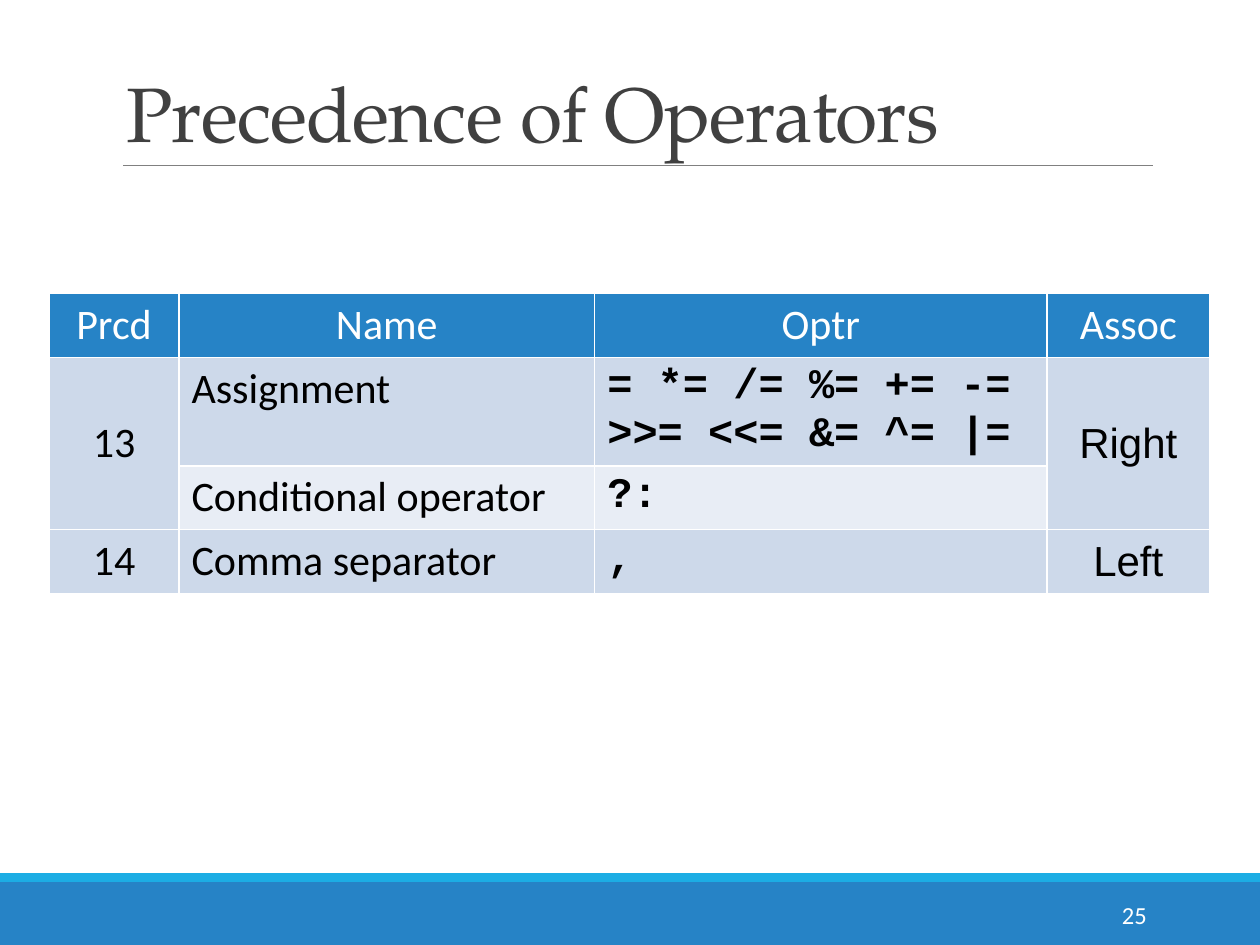
from lxml.etree import SubElement
from pptx import Presentation
from pptx.dml.color import RGBColor
from pptx.enum.shapes import MSO_CONNECTOR, MSO_SHAPE
from pptx.enum.text import MSO_ANCHOR as ANCHOR, PP_ALIGN as ALIGN
from pptx.oxml.ns import qn
from pptx.util import Inches, Pt

BLUE, CYAN, WHITE, BLACK = "2683C6", "1CADE4", "FFFFFF", "000000"
BAND, LIGHT_BAND = "CDD9EA", "E8EDF5"
BODY, MONO, SANS, SERIF = "Calibri", "Courier New", "Arial", "TeX Gyre Pagella"

HEADER = ["Prcd", "Name", "Optr", "Assoc"]
ROWS = [
    ["13", "Assignment", "= *= /= %= += -=\n>>= <<= &= ^= |=", "Right"],
    ["", "Conditional operator", "?:", ""],
    ["14", "Comma separator", ",", "Left"],
]
COL_WIDTHS = [1.03, 3.3, 3.59, 1.29]
ROW_HEIGHTS = [0.5, 0.86, 0.5, 0.5]
COL_FONTS = [BODY, BODY, MONO, SANS]


def rgb(color):
    return RGBColor.from_string(color)


def box(*lengths):
    return [Inches(n) for n in lengths]


class SlideBuilder:
    """Holds the current slide and draws its elements in one style."""

    def __init__(self, slide):
        self.slide = slide
        self.shapes = slide.shapes

    def style(self, p, size, font, color, bold=False, align=ALIGN.LEFT):
        p.alignment = align
        for r in p.runs:
            r.font.size, r.font.name, r.font.bold = Pt(size), font, bold
            r.font.color.rgb = rgb(color)

    def bar(self, top, height, color):
        sp = self.shapes.add_shape(MSO_SHAPE.RECTANGLE, *box(0, top, 10, height))
        sp.shadow.inherit = False
        sp.fill.solid()
        sp.fill.fore_color.rgb = rgb(color)
        sp.line.fill.background()

    def rule(self, left, right, y):
        line = self.shapes.add_connector(MSO_CONNECTOR.STRAIGHT, *box(left, y, right, y))
        line.line.color.rgb = rgb("808080")
        line.line.width = Pt(0.5)
        SubElement(line._element.spPr, qn("a:effectLst"))

    def title(self, text):
        sp = self.shapes.title
        sp.left, sp.top, sp.width, sp.height = box(0.9, 0.31, 8.25, 1)
        tf = sp.text_frame
        tf.text = text
        tf.vertical_anchor = ANCHOR.BOTTOM
        p = tf.paragraphs[0]
        p.line_spacing = 0.85
        self.style(p, 44, SERIF, "404040")
        p.runs[0].font._element.set("spc", "-50")

    def page_number(self, text):
        tf = self.shapes.add_textbox(*box(8.12, 7.06, 1.08, 0.4)).text_frame
        tf.word_wrap = True
        tf.vertical_anchor = ANCHOR.MIDDLE
        tf.text = text
        self.style(tf.paragraphs[0], 14, BODY, WHITE, align=ALIGN.RIGHT)

    def cell_borders(self, cell):
        tc_pr = cell._tc.get_or_add_tcPr()
        for side in "LRTB":
            ln = SubElement(tc_pr, qn(f"a:ln{side}"), w=str(Pt(1)))
            fill = SubElement(ln, qn("a:solidFill"))
            SubElement(fill, qn("a:srgbClr"), val=WHITE)

    def cell(self, cell, text, row, col):
        header = row == 0
        outer = col in (0, 3)
        self.cell_borders(cell)
        cell.fill.solid()
        fill = BLUE if header else LIGHT_BAND if row == 2 else BAND
        cell.fill.fore_color.rgb = rgb(fill)
        if outer and not header:
            cell.vertical_anchor = ANCHOR.MIDDLE
        p = cell.text_frame.paragraphs[0]
        p.text = text
        self.style(p, 24, BODY if header else COL_FONTS[col],
                   WHITE if header else BLACK,
                   bold=col == 2 and not header,
                   align=ALIGN.CENTER if header or outer else ALIGN.LEFT)

    def table(self, left, top, data):
        frame = self.shapes.add_table(
            len(data), len(HEADER),
            *box(left, top, sum(COL_WIDTHS), sum(ROW_HEIGHTS)))
        table = frame.table
        for column, width in zip(table.columns, COL_WIDTHS):
            column.width = Inches(width)
        for row, height in zip(table.rows, ROW_HEIGHTS):
            row.height = Inches(height)
        for i, values in enumerate(data):
            for j, text in enumerate(values):
                self.cell(table.cell(i, j), text, i, j)
        for j in (0, 3):
            table.cell(1, j).merge(table.cell(2, j))


def main():
    prs = Presentation()
    prs.slide_width, prs.slide_height = box(10, 7.5)
    s = SlideBuilder(prs.slides.add_slide(prs.slide_layouts[5]))
    s.bar(7, 0.5, BLUE)
    s.bar(6.93, 0.07, CYAN)
    s.rule(0.98, 9.15, 1.31)
    s.title("Precedence of Operators")
    s.table(0.39, 2.33, [HEADER] + ROWS)
    s.page_number("25")
    prs.save("out.pptx")


if __name__ == "__main__":
    main()
